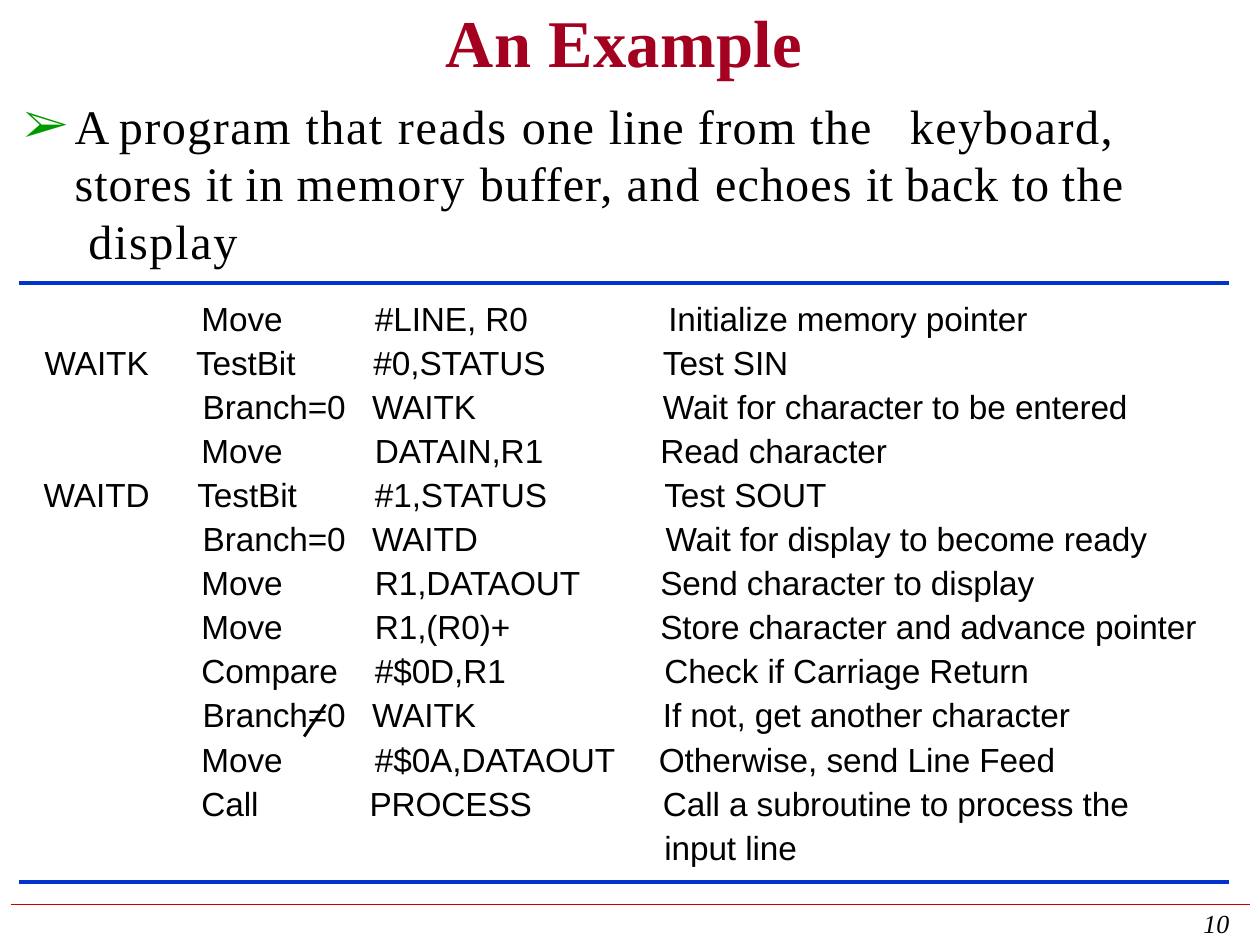
from collections import namedtuple
from dataclasses import dataclass

from lxml.etree import SubElement
from pptx import Presentation
from pptx.dml.color import RGBColor as Rgb
from pptx.enum.shapes import MSO_CONNECTOR as Connector
from pptx.enum.text import MSO_ANCHOR as Anchor, PP_ALIGN as Align
from pptx.oxml import parse_xml
from pptx.oxml.ns import nsdecls, qn
from pptx.util import Inches, Pt

Box = namedtuple("Box", "left top width height")


@dataclass(frozen=True)
class Theme:
    serif: str = "Times New Roman"
    sans: str = "Arial"
    ink: str = "000000"
    heading: str = "A40020"
    bullet: str = "009A00"
    frame: str = "0034CC"
    rule: str = "CC0000"
    heading_size: float = 36
    body_size: float = 26
    code_size: float = 18
    number_size: float = 14


THEME = Theme()

INTRO = [
    ("A ", 0), ("program that ", 0.8), ("reads ", 0.9), ("one ", 0.7),
    ("line ", 0.5), ("from the\t", 0.7), ("keyboard, ", 0.8),
    ("stores ", 0.5), ("it ", 0.1), ("in ", 0.3), ("memory ", 0.8),
    ("buffer, ", 0.5), ("and ", 0.9), ("echoes ", 0.6), ("it ", 0.1),
    ("back ", 0.3), ("to ", 0.1), ("the", 0.7),
]
INTRO_END = (" display", 0.9)

COLUMN_WIDTHS = [1.16, 1.38, 2.12, 4.41]
ROW_HEIGHTS = [0.47] + [0.33] * 11 + [0.39]
LISTING = [
    (("", "Move", "#LINE, R0", "Initialize memory pointer"), (0.21, 0.13, 0.21)),
    (("WAITK", "TestBit", "#0,STATUS", "Test SIN"), (0.17, 0.12, 0.17)),
    (("", "Branch=0", "WAITK", "Wait for character to be entered"), (0.22, 0.11, 0.17)),
    (("", "Move", "DATAIN,R1", "Read character"), (0.21, 0.13, 0.15)),
    (("WAITD", "TestBit", "#1,STATUS", "Test SOUT"), (0.18, 0.13, 0.18)),
    (("", "Branch=0", "WAITD", "Wait for display to become ready"), (0.22, 0.11, 0.19)),
    (("", "Move", "R1,DATAOUT", "Send character to display"), (0.21, 0.13, 0.15)),
    (("", "Move", "R1,(R0)+", "Store character and advance pointer"), (0.21, 0.13, 0.15)),
    (("", "Compare", "#$0D,R1", "Check if Carriage Return"), (0.21, 0.13, 0.18)),
    (("", "Branch=0", "WAITK", "If not, get another character"), (0.22, 0.11, 0.17)),
    (("", "Move", "#$0A,DATAOUT", "Otherwise, send Line Feed"), (0.21, 0.13, 0.14)),
    (("", "Call", "PROCESS", "Call a subroutine to process the"), (0.21, 0.09, 0.17)),
    (("", "", "", "input line"), (0, 0, 0.18)),
]


def apply(target, formats):
    for name, value in formats.items():
        setattr(target, name, value)


def add_words(paragraph, words, face, size, color=THEME.ink, spacing=0, **style):
    run = paragraph.add_run()
    run.text = words
    apply(run.font, {"name": face, "size": Pt(size), **style})
    run.font.color.rgb = Rgb.from_string(color)
    if spacing:
        run.font._element.set("spc", str(round(spacing * 100)))


def add_text_area(slide, box):
    frame = slide.shapes.add_textbox(*map(Inches, box)).text_frame
    apply(frame, {
        "word_wrap": True, "margin_left": 0, "margin_right": 0,
        "margin_top": 0, "margin_bottom": 0,
    })
    return frame.paragraphs[0]


def add_rule(slide, start, end, color, weight):
    rule = slide.shapes.add_connector(
        Connector.STRAIGHT, *map(Inches, (*start, *end)))
    rule.line.color.rgb = Rgb.from_string(color)
    rule.line.width = Pt(weight)
    SubElement(rule._element.spPr, qn("a:effectLst"))


def add_heading(slide, box):
    heading = add_text_area(slide, box)
    add_words(heading, "An Example", THEME.serif, THEME.heading_size,
              THEME.heading, 0.2, bold=True)


def add_intro(slide, box):
    intro = add_text_area(slide, box)
    properties = intro._element.get_or_add_pPr()
    properties.set("marL", str(Inches(0.4)))
    properties.set("indent", str(Inches(-0.38)))
    bullet_color = SubElement(properties, qn("a:buClr"))
    SubElement(bullet_color, qn("a:srgbClr"), val=THEME.bullet)
    SubElement(properties, qn("a:buFont"), typeface=THEME.serif)
    SubElement(properties, qn("a:buChar"), char="➢")
    stops = SubElement(properties, qn("a:tabLst"))
    for stop in (0.4, 6.66):
        SubElement(stops, qn("a:tab"), pos=str(Inches(stop)), algn="l")
    for words, spacing in INTRO:
        add_words(intro, words, THEME.serif, THEME.body_size, spacing=spacing)
    intro.add_line_break()
    words, spacing = INTRO_END
    add_words(intro, words, THEME.serif, THEME.body_size, spacing=spacing)


def add_border(cell, side):
    cell._tc.get_or_add_tcPr().insert(0, parse_xml(
        f'<a:{side} {nsdecls("a")} w="{Pt(2.25)}"><a:solidFill>'
        f'<a:srgbClr val="{THEME.frame}"/></a:solidFill></a:{side}>'))


def fill_cell(cell, words, indent, top, is_label):
    apply(cell, {
        "margin_left": Inches(indent), "margin_right": 0,
        "margin_top": Inches(top), "margin_bottom": 0,
        "vertical_anchor": Anchor.TOP,
    })
    cell.fill.background()
    if words:
        paragraph = cell.text_frame.paragraphs[0]
        paragraph.alignment = Align.CENTER if is_label else Align.LEFT
        add_words(paragraph, words, THEME.sans, THEME.code_size,
                  spacing=0 if is_label else -0.05)


def add_listing(slide, box):
    listing = slide.shapes.add_table(
        len(LISTING), len(COLUMN_WIDTHS), *map(Inches, box)).table
    apply(listing, {"first_row": False, "horz_banding": False})
    style = listing._tbl.tblPr.find(qn("a:tableStyleId"))
    style.text = "{2D5ABB26-0587-4C30-8999-92F81FD0307C}"
    for column, width in zip(listing.columns, COLUMN_WIDTHS):
        column.width = Inches(width)
    for row, height in zip(listing.rows, ROW_HEIGHTS):
        row.height = Inches(height)
    last = len(LISTING) - 1
    for line, (parts, indents) in enumerate(LISTING):
        for place, (words, indent) in enumerate(zip(parts, (0.01, *indents))):
            cell = listing.cell(line, place)
            fill_cell(cell, words, indent, 0 if line else 0.14, place == 0)
            if line in (0, last):
                add_border(cell, "lnB" if line else "lnT")
    slash_left, slash_top = box.left + 2.14, box.top + 3.16
    add_rule(slide, (slash_left + 0.16, slash_top),
             (slash_left, slash_top + 0.24), THEME.ink, 1.56)


def add_footer(slide, box):
    add_rule(slide, (box.left, box.top), (box.left + box.width, box.top),
             THEME.rule, 0.5)
    number = add_text_area(
        slide, Box(box.left + 8.94, box.top + 0.03, 0.3, box.height - 0.03))
    number.line_spacing = Pt(16.3)
    add_words(number, "10", THEME.serif, THEME.number_size, italic=True)


def main():
    deck = Presentation()
    deck.slide_width = Inches(680 / 72)
    deck.slide_height = Inches(511 / 72)
    slide = deck.slides.add_slide(deck.slide_layouts[6])
    add_footer(slide, Box(0.08, 6.78, 9.29, 0.27))
    add_heading(slide, Box(3.34, 0.01, 2.75, 0.63))
    add_listing(slide, Box(0.14, 2.12, 9.08, 4.49))
    add_intro(slide, Box(0.16, 0.72, 8.5, 1.33))
    deck.save("out.pptx")


if __name__ == "__main__":
    main()
